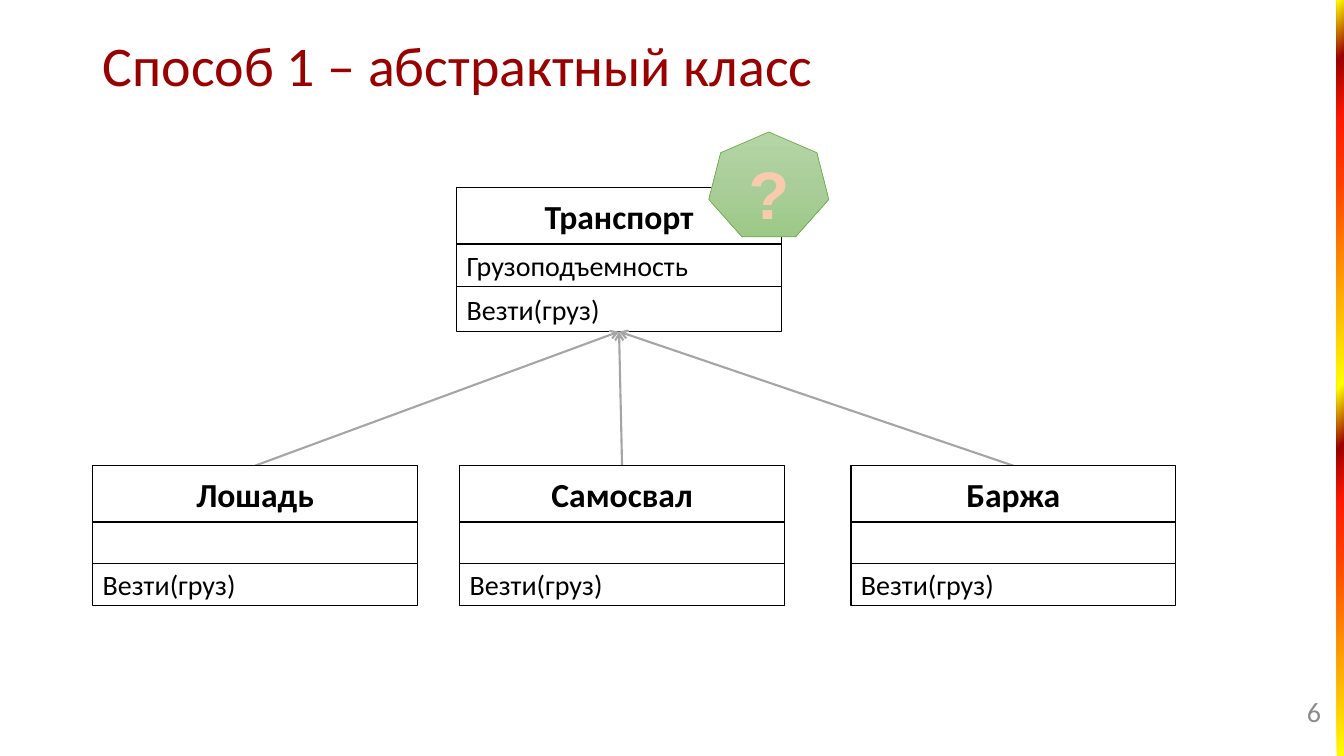
from lxml.etree import SubElement
from pptx import Presentation
from pptx.dml.color import RGBColor
from pptx.enum.shapes import MSO_CONNECTOR, MSO_SHAPE
from pptx.enum.text import MSO_ANCHOR, PP_ALIGN
from pptx.oxml import parse_xml
from pptx.oxml.ns import nsdecls, qn
from pptx.util import Inches, Pt

TITLE = "Способ 1 – абстрактный класс"
PAGE = "6"
MARK = "?"
PARENT = ("Транспорт", "Грузоподъемность", "Везти(груз)")
CHILDREN = [
    (0.92, ("Лошадь", "", "Везти(груз)")),
    (4.56, ("Самосвал", "", "Везти(груз)")),
    (8.44, ("Баржа", "", "Везти(груз)")),
]

THEME = {
    "font": "Calibri", "mark_font": "Arial",
    "title": "990000", "page": "8C8C8C", "text": "000000",
    "box": "FFFFFF", "border": "000000", "arrow": "A5A5A5",
    "mark": "F8CBAD", "mark_outline": "ED7D31", "badge_line": "70AD47",
    "badge": [(0, "B5D5A7"), (50, "AACE9A"), (100, "9CC987")],
    "stripe": [(0, "FFFF00"), (27, "FF3D00"), (34, "FF1900"), (41, "990000"),
               (49, "FFFF00"), (76, "FF3D00"), (84, "FF1900"), (92, "990000"),
               (100, "FFFF00")],
    "title_size": 40, "name_size": 24, "body_size": 20, "mark_size": 48,
}

CARD_W = 3.22
PARENT_X, PARENT_Y, CHILD_Y = 4.53, 1.86, 4.62
PARENT_ROWS = (0.56, 0.42, 0.45)
CHILD_ROWS = (0.56, 0.41, 0.42)


def rgb(key):
    return RGBColor.from_string(THEME[key])


def set_text(sp, text, size, color, align=PP_ALIGN.LEFT, bold=False,
             font="font", anchor=MSO_ANCHOR.MIDDLE):
    tf = sp.text_frame
    tf.word_wrap = True
    tf.vertical_anchor = anchor
    p = tf.paragraphs[0]
    p.text = text
    p.alignment = align
    for r in p.runs:
        r.font.name = THEME[font]
        r.font.size = Pt(THEME[size])
        r.font.bold = bold
        r.font.color.rgb = rgb(color)
    return p


def add_text(shapes, box, *args, **kwargs):
    sp = shapes.add_textbox(*map(Inches, box))
    return set_text(sp, *args, **kwargs)


def add_gradient_shape(shapes, kind, box, stops, angle):
    sp = shapes.add_shape(kind, *map(Inches, box))
    sp.shadow.inherit = False
    gs = "".join(f'<a:gs pos="{pos * 1000}"><a:srgbClr val="{color}"/></a:gs>'
                 for pos, color in THEME[stops])
    grad = parse_xml(f'<a:gradFill rotWithShape="1" {nsdecls("a")}><a:gsLst>{gs}</a:gsLst>'
                     f'<a:lin ang="{angle * 60000}" scaled="0"/></a:gradFill>')
    sp._element.spPr.find(qn("a:prstGeom")).addnext(grad)
    return sp


def add_card(shapes, x, y, rows, texts):
    group = shapes.add_group_shape()
    for i, (height, text) in enumerate(zip(rows, texts)):
        sp = group.shapes.add_shape(MSO_SHAPE.RECTANGLE, Inches(x), Inches(y),
                                    Inches(CARD_W), Inches(height))
        sp.shadow.inherit = False
        sp.fill.solid()
        sp.fill.fore_color.rgb = rgb("box")
        sp.line.color.rgb = rgb("border")
        sp.line.width = Pt(1)
        if i == 0:
            set_text(sp, text, "name_size", "text", PP_ALIGN.CENTER, True)
        else:
            set_text(sp, text, "body_size", "text")
        y += height


def add_arrow(shapes, x1, y1, x2, y2):
    line = shapes.add_connector(MSO_CONNECTOR.STRAIGHT, *map(Inches, (x1, y1, x2, y2)))
    line.line.color.rgb = rgb("arrow")
    line.line.width = Pt(1.5)
    SubElement(line.line._get_or_add_ln(), qn("a:tailEnd"), type="arrow")
    SubElement(line._element.spPr, qn("a:effectLst"))


def add_badge(shapes):
    sp = add_gradient_shape(shapes, MSO_SHAPE.HEPTAGON, (7.03, 1.31, 1.19, 1.04), "badge", 90)
    sp.line.color.rgb = rgb("badge_line")
    sp.line.width = Pt(0.5)
    tf = sp.text_frame
    tf.margin_left = tf.margin_right = tf.margin_top = tf.margin_bottom = 0
    p = set_text(sp, MARK, "mark_size", "mark", PP_ALIGN.CENTER, True,
                 "mark_font", MSO_ANCHOR.TOP)
    outline = parse_xml(f'<a:ln w="{Pt(1.75)}" {nsdecls("a")}><a:solidFill>'
                        f'<a:srgbClr val="{THEME["mark_outline"]}"/></a:solidFill></a:ln>')
    p.runs[0]._r.get_or_add_rPr().insert(0, outline)


def main():
    prs = Presentation()
    prs.slide_width, prs.slide_height = Inches(13.33), Inches(7.5)
    s = prs.slides.add_slide(prs.slide_layouts[6])
    shapes = s.shapes

    stripe = add_gradient_shape(shapes, MSO_SHAPE.RECTANGLE, (13.26, 0, 0.07, 7.5), "stripe", 225)
    stripe.line.fill.background()
    p = add_text(shapes, (0.92, 0.15, 11.5, 1.06), TITLE, "title_size", "title")
    p.line_spacing = 0.9
    add_text(shapes, (12.5, 6.86, 0.7, 0.4), PAGE, "body_size", "page", PP_ALIGN.RIGHT)

    add_card(shapes, PARENT_X, PARENT_Y, PARENT_ROWS, PARENT)
    for x, _ in CHILDREN:
        add_arrow(shapes, x + CARD_W / 2, CHILD_Y,
                  PARENT_X + CARD_W / 2, PARENT_Y + sum(PARENT_ROWS))
    for x, texts in CHILDREN:
        add_card(shapes, x, CHILD_Y, CHILD_ROWS, texts)
    add_badge(shapes)

    prs.save("out.pptx")


if __name__ == "__main__":
    main()
